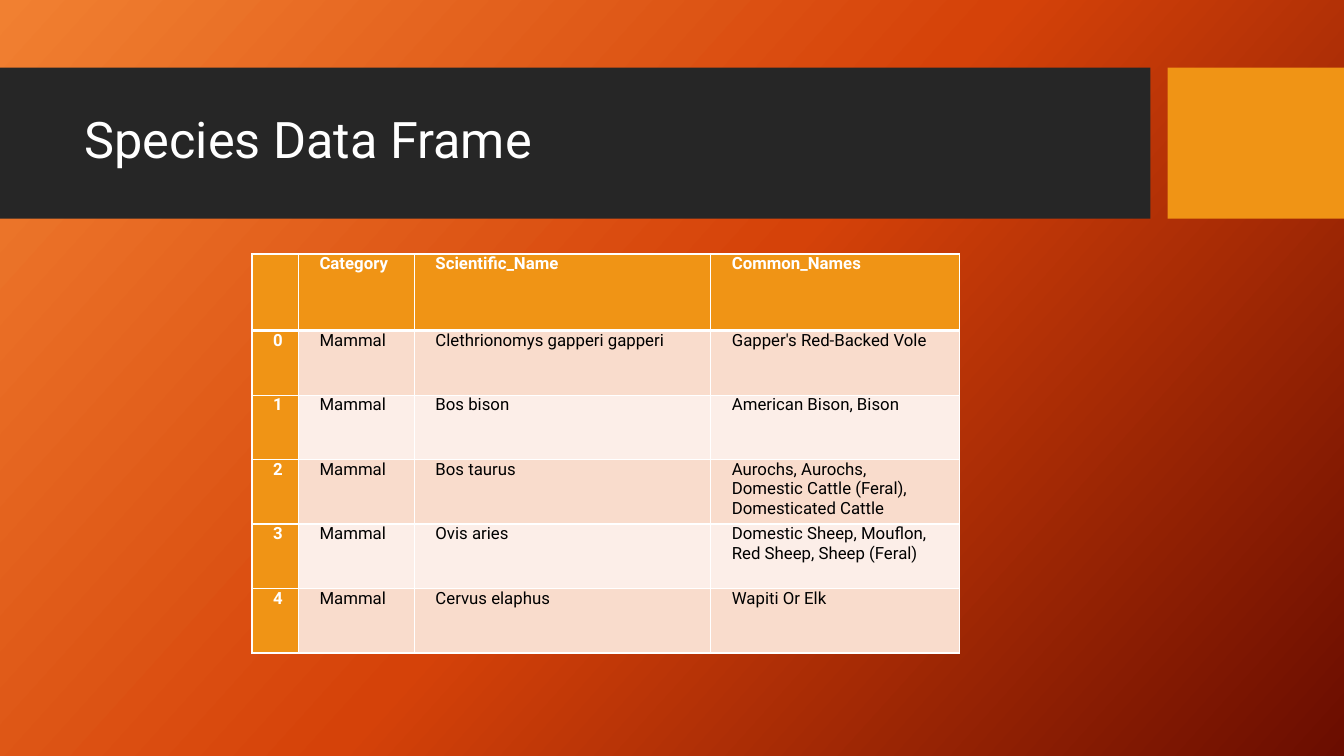
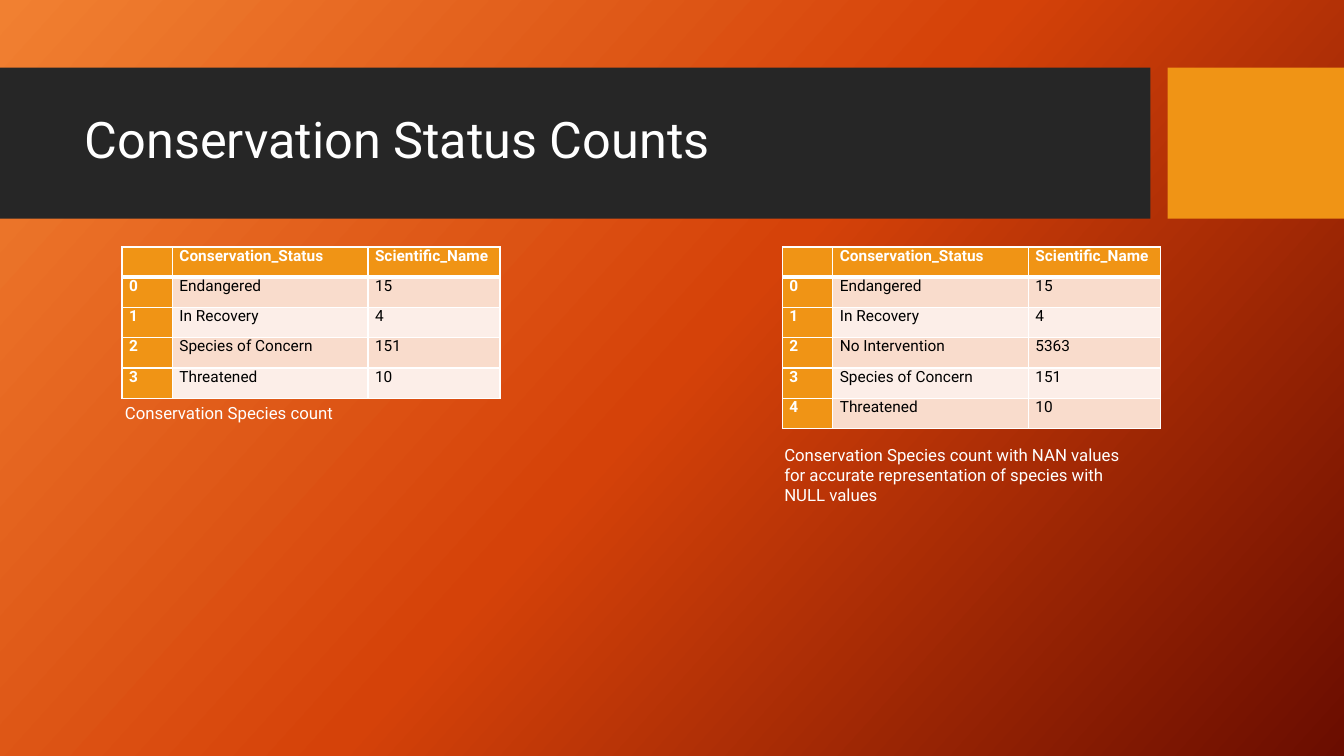
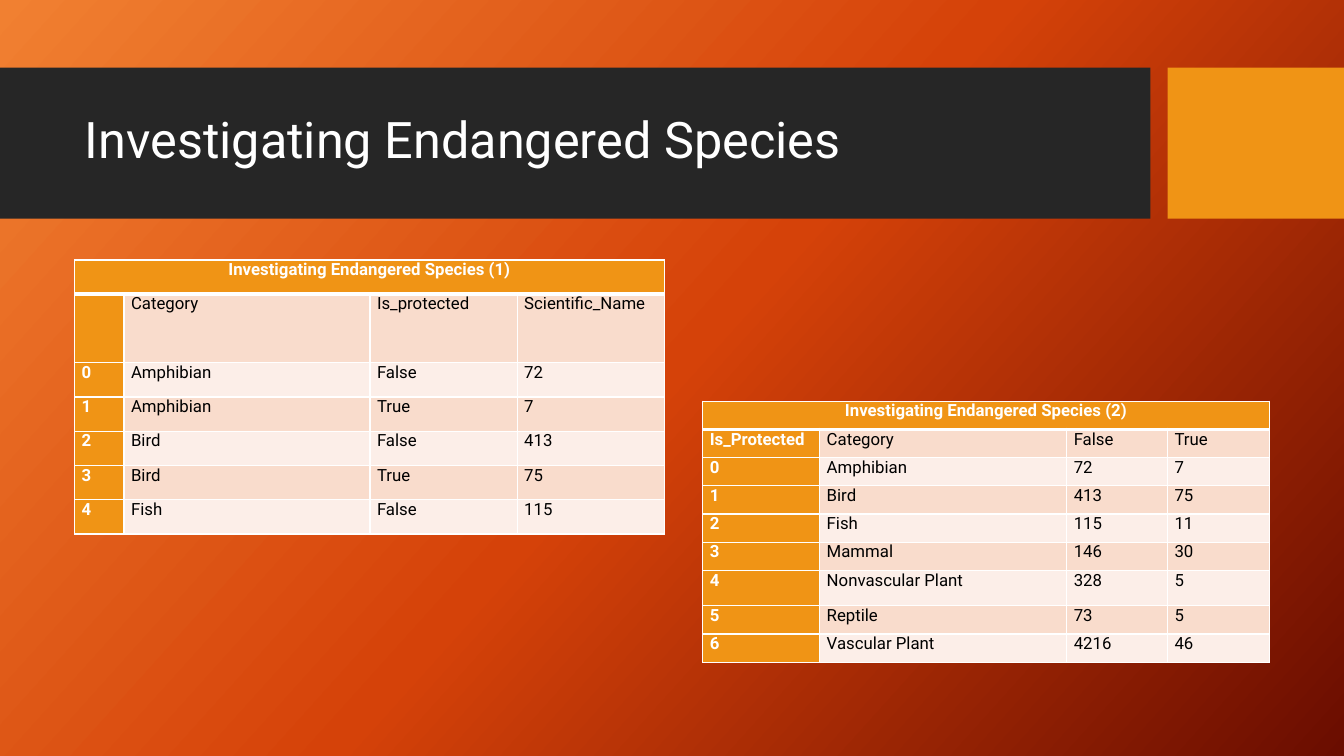
from copy import deepcopy

from pptx import Presentation
from pptx.dml.color import RGBColor
from pptx.enum.shapes import MSO_SHAPE as Shape
from pptx.enum.text import MSO_ANCHOR as Anchor, MSO_AUTO_SIZE as AutoSize, PP_ALIGN as Align
from pptx.oxml import parse_xml
from pptx.oxml.ns import nsdecls, qn
from pptx.util import Inches, Pt

# Shared look
FONT = "Roboto"
COLORS = {
    "white": "FFFFFF", "black": "000000", "band": "262626", "accent": "F09415",
    "stripe_dark": "F9DCCC", "stripe_light": "FCEEE8",
}
BACKDROP = [(0, "F18031"), (0.5, "D54209"), (1, "6A0D00")]
BACKDROP_ANGLE = 42
BANDS = [("band", 0, 11.41), ("accent", 11.58, 1.75)]
BAND_TOP, BAND_HEIGHT = 0.67, 1.5
TITLE_BOX = (0.74, 0.82, 10.51, 1.18)

# Content: a row with a single entry spans the whole table
STATUS_HEADER = ["", "Conservation_Status", "Scientific_Name"]
STATUS_COLUMNS = [0.5, 1.94, 1.31]

SLIDES = [
    {
        "title": "Species Data Frame",
        "tables": [{
            "at": (2.5, 2.52), "columns": [0.45, 1.15, 2.94, 2.47],
            "row": 0.64, "tall": {0: 0.76}, "inset": 0.21, "size": 12,
            "rows": [
                ["", "Category", "Scientific_Name", "Common_Names"],
                ["0", "Mammal", "Clethrionomys gapperi gapperi", "Gapper's Red-Backed Vole"],
                ["1", "Mammal", "Bos bison", "American Bison, Bison"],
                ["2", "Mammal", "Bos taurus",
                 "Aurochs, Aurochs, Domestic Cattle (Feral), Domesticated Cattle"],
                ["3", "Mammal", "Ovis aries", "Domestic Sheep, Mouflon, Red Sheep, Sheep (Feral)"],
                ["4", "Mammal", "Cervus elaphus", "Wapiti Or Elk"],
            ],
        }],
        "captions": [],
    },
    {
        "title": "Conservation Status Counts",
        "tables": [
            {
                "at": (1.21, 2.45), "columns": STATUS_COLUMNS,
                "row": 0.3, "tall": {}, "inset": 0.07, "size": 11,
                "rows": [
                    STATUS_HEADER,
                    ["0", "Endangered", "15"],
                    ["1", "In Recovery", "4"],
                    ["2", "Species of Concern", "151"],
                    ["3", "Threatened", "10"],
                ],
            },
            {
                "at": (7.76, 2.45), "columns": STATUS_COLUMNS,
                "row": 0.3, "tall": {}, "inset": 0.07, "size": 11,
                "rows": [
                    STATUS_HEADER,
                    ["0", "Endangered", "15"],
                    ["1", "In Recovery", "4"],
                    ["2", "No Intervention", "5363"],
                    ["3", "Species of Concern", "151"],
                    ["4", "Threatened", "10"],
                ],
            },
        ],
        "captions": [
            ((1.14, 3.95, 3.75, 0.3), "Conservation Species count"),
            ((7.68, 4.36, 3.75, 0.71),
             "Conservation Species count with NAN values for accurate "
             "representation of species with NULL values"),
        ],
    },
    {
        "title": "Investigating Endangered Species",
        "tables": [
            {
                "at": (0.74, 2.58), "columns": [0.49, 2.44, 1.46, 1.46],
                "row": 0.34, "tall": {1: 0.68}, "inset": 0.07, "size": 12,
                "rows": [
                    ["Investigating Endangered Species (1)"],
                    ["", "Category", "Is_protected", "Scientific_Name"],
                    ["0", "Amphibian", "False", "72"],
                    ["1", "Amphibian", "True", "7"],
                    ["2", "Bird", "False", "413"],
                    ["3", "Bird", "True", "75"],
                    ["4", "Fish", "False", "115"],
                ],
            },
            {
                "at": (6.97, 3.98), "columns": [1.16, 2.45, 1, 1.01],
                "row": 0.28, "tall": {6: 0.35}, "inset": 0.07, "size": 12,
                "rows": [
                    ["Investigating Endangered Species (2)"],
                    ["Is_Protected", "Category", "False", "True"],
                    ["0", "Amphibian", "72", "7"],
                    ["1", "Bird", "413", "75"],
                    ["2", "Fish", "115", "11"],
                    ["3", "Mammal", "146", "30"],
                    ["4", "Nonvascular Plant", "328", "5"],
                    ["5", "Reptile", "73", "5"],
                    ["6", "Vascular Plant", "4216", "46"],
                ],
            },
        ],
        "captions": [],
    },
]


def rgb(name):
    return RGBColor.from_string(COLORS[name])


def write(frame, text, size=12, color="white", bold=False, align=Align.LEFT, spacing=None):
    paragraph = frame.paragraphs[0]
    paragraph.alignment = align
    paragraph.line_spacing = spacing
    run = paragraph.add_run()
    run.text = text
    run.font.name, run.font.size, run.font.bold = FONT, Pt(size), bold
    run.font.color.rgb = rgb(color)


def place(shape, box):
    shape.left, shape.top, shape.width, shape.height = map(Inches, box)


def style_template(layout, first_slide):
    """Give the master its gradient and the layout its bands and title box."""
    master = layout.slide_master
    backdrop = master.background.fill
    backdrop.gradient()
    backdrop.gradient_angle = 360 - BACKDROP_ANGLE
    stop_list = master.element.find(".//" + qn("a:gsLst"))
    stop_list.insert(1, deepcopy(stop_list[0]))
    for stop, (position, color) in zip(backdrop.gradient_stops, BACKDROP):
        stop.position = position
        stop.color.rgb = RGBColor.from_string(color)

    for order, (color, left, width) in enumerate(BANDS):
        box = map(Inches, (left, BAND_TOP, width, BAND_HEIGHT))
        band = first_slide.shapes.add_shape(Shape.RECTANGLE, *box)
        band.shadow.inherit = False
        band.fill.solid()
        band.fill.fore_color.rgb = rgb(color)
        band.line.fill.background()
        layout.shapes.element.insert(2 + order, band.element)

    place(layout.placeholders[0], TITLE_BOX)


def set_borders(cell, **widths):
    properties = cell._tc.get_or_add_tcPr()
    for side in "LRTB":
        width = Pt(widths.get(side, 1))
        properties.append(parse_xml(
            f'<a:ln{side} {nsdecls("a")} w="{width}"><a:solidFill>'
            f'<a:srgbClr val="{COLORS["white"]}"/></a:solidFill></a:ln{side}>'))


def add_data_table(slide, data):
    rows, columns = data["rows"], data["columns"]
    heights = [data["tall"].get(r, data["row"]) for r in range(len(rows))]
    left, top = data["at"]
    box = map(Inches, (left, top, sum(columns), sum(heights)))
    table = slide.shapes.add_table(len(rows), len(columns), *box).table
    for column, width in zip(table.columns, columns):
        column.width = Inches(width)

    for r, (entries, height) in enumerate(zip(rows, heights)):
        table.rows[r].height = Inches(height)
        spans = len(entries) == 1
        for c in range(len(columns)):
            cell = table.cell(r, c)
            heading = r == 0 or c == 0
            # The rule under the header row is thicker
            set_borders(cell, T=3 if r == 1 else 1, B=3 if r == 0 else 1)
            cell.fill.solid()
            stripe = "stripe_dark" if r % 2 else "stripe_light"
            cell.fill.fore_color.rgb = rgb("accent" if heading else stripe)
            cell.margin_left = cell.margin_right = Inches(data["inset"])
            cell.margin_top = cell.margin_bottom = 0
            if c < len(entries):
                write(cell.text_frame, entries[c], size=data["size"], bold=heading,
                      color="white" if heading else "black",
                      align=Align.CENTER if spans else Align.LEFT)
        if spans:
            table.cell(r, 0).merge(table.cell(r, len(columns) - 1))


def add_caption(slide, box, text):
    frame = slide.shapes.add_textbox(*map(Inches, box)).text_frame
    frame.word_wrap = True
    frame.auto_size = AutoSize.SHAPE_TO_FIT_TEXT
    write(frame, text)


def main():
    deck = Presentation()
    deck.slide_width, deck.slide_height = Inches(13.33), Inches(7.5)
    layout = deck.slide_layouts[5]
    slides = [deck.slides.add_slide(layout) for _ in SLIDES]
    style_template(layout, slides[0])

    for slide, content in zip(slides, SLIDES):
        heading = slide.shapes.title.text_frame
        heading.vertical_anchor = Anchor.MIDDLE
        heading.auto_size = AutoSize.NONE
        write(heading, content["title"], size=36, spacing=0.9)
        for data in content["tables"]:
            add_data_table(slide, data)
        for box, text in content["captions"]:
            add_caption(slide, box, text)

    deck.save("out.pptx")


if __name__ == "__main__":
    main()
